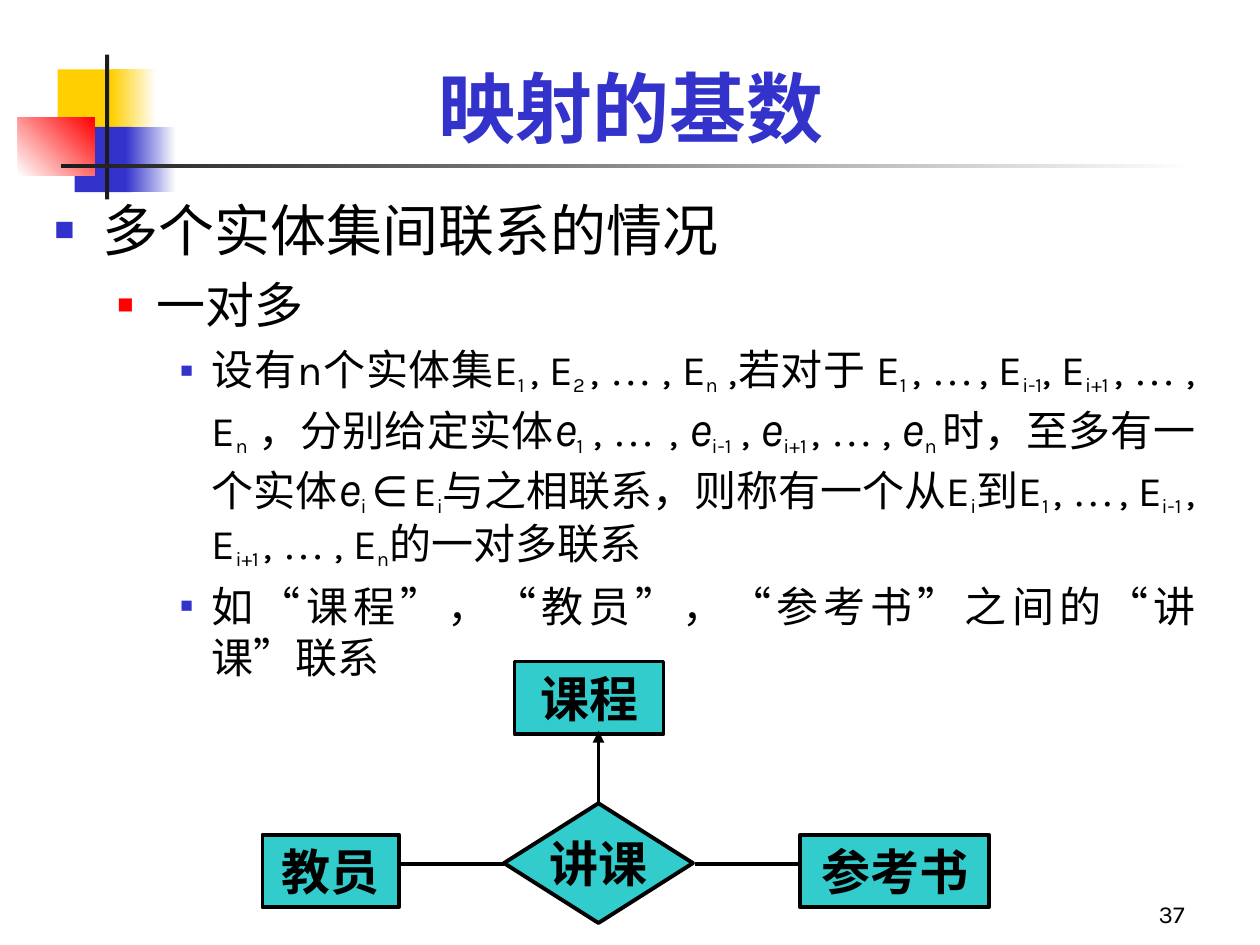
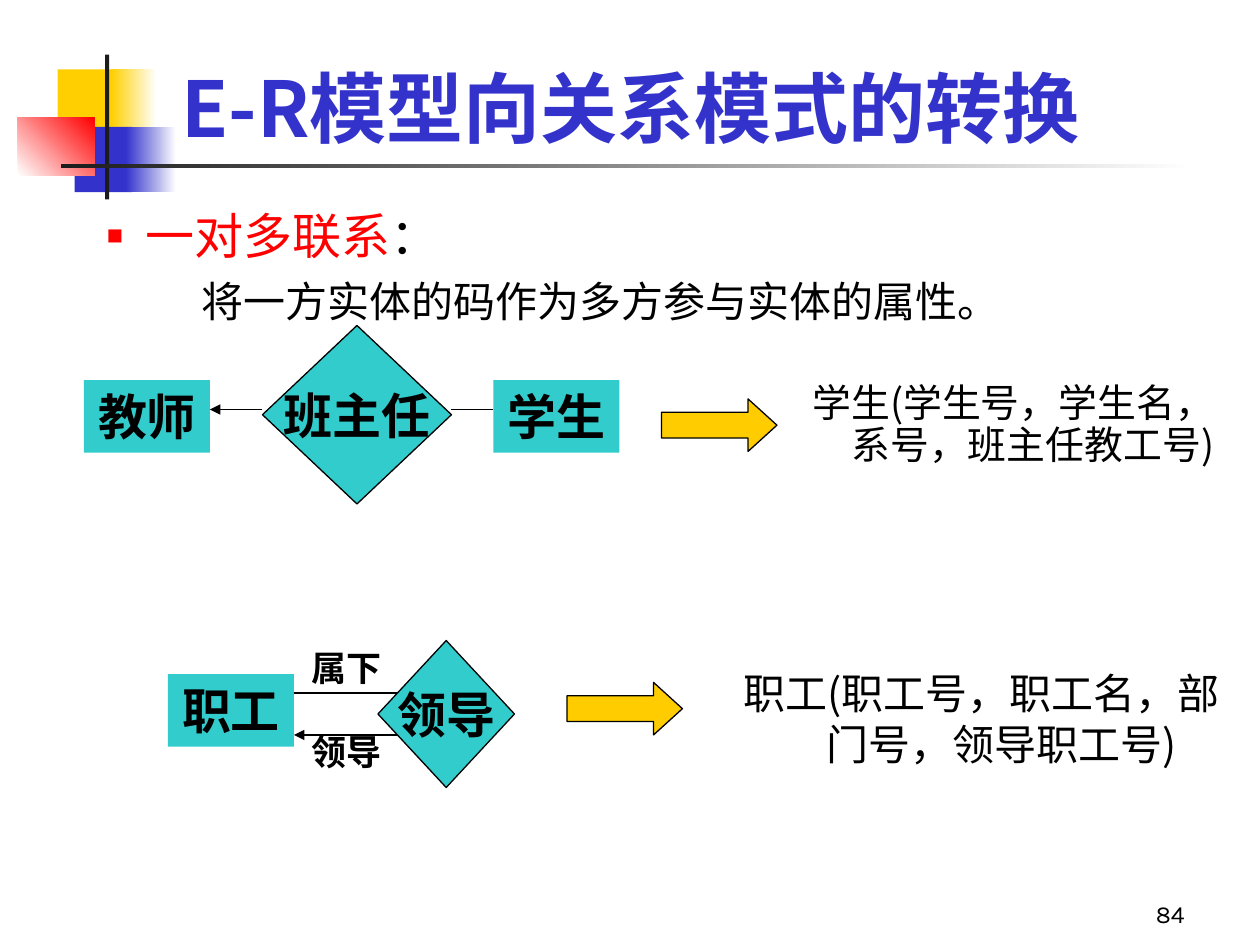
"""Build two slides on entity-relationship mapping."""
import dataclasses
import itertools

import lxml.etree
import pptx
import pptx.dml.color
import pptx.enum.shapes
import pptx.enum.text
import pptx.oxml.ns
import pptx.util

SHAPE = pptx.enum.shapes.MSO_SHAPE
ALIGN = pptx.enum.text.PP_ALIGN
ANCHOR = pptx.enum.text.MSO_ANCHOR


@dataclasses.dataclass(frozen=True)
class Theme:
    black: str = "000000"
    white: str = "FFFFFF"
    ink: str = "1C1C1C"
    blue: str = "3333CC"
    red: str = "FF0000"
    yellow: str = "FFCF01"
    arrow: str = "FFCC00"
    teal: str = "33CCCC"
    latin: str = "Karla"
    serif: str = "Times New Roman"
    chinese: str = "Noto Sans CJK SC"
    japanese: str = "Noto Sans CJK JP"
    title: float = 44
    heading: float = 32
    subheading: float = 28
    body: float = 24
    schema: float = 22.2
    small: float = 20
    number: float = 14
    thick: float = 2.25
    thin: float = 0.75
    columns: int = 120
    rows: int = 90


def add_element(parent, tag, **attributes):
    return lxml.etree.SubElement(parent, pptx.oxml.ns.qn(tag), **attributes)


def rgb(color):
    return pptx.dml.color.RGBColor.from_string(color)


class Deck:
    def __init__(self, theme):
        self.theme = theme
        self.presentation = pptx.Presentation()
        self.presentation.slide_width = pptx.util.Inches(10)
        self.presentation.slide_height = pptx.util.Inches(7.5)
        self.slide = None

    def x(self, columns):
        return round(self.presentation.slide_width * columns / self.theme.columns)

    def y(self, rows):
        return round(self.presentation.slide_height * rows / self.theme.rows)

    def place(self, area):
        left, top, width, height = area
        return self.x(left), self.y(top), self.x(width), self.y(height)

    def start_slide(self, title, number, title_font):
        theme = self.theme
        self.slide = self.presentation.slides.add_slide(self.presentation.slide_layouts[5])
        self.decorate()
        shape = self.slide.shapes.title
        shape.left, shape.top, shape.width, shape.height = self.place((9, 3, 102.2, 12.2))
        frame = shape.text_frame
        frame.auto_size = pptx.enum.text.MSO_AUTO_SIZE.NONE
        frame.vertical_anchor = ANCHOR.BOTTOM
        paragraph = frame.paragraphs[0]
        paragraph.alignment = ALIGN.CENTER
        self.run(paragraph, title, theme.title, title_font, theme.blue, bold=True)
        frame = self.text_box((89, 83, 25, 6), ANCHOR.BOTTOM)
        paragraph = frame.paragraphs[0]
        paragraph.alignment = ALIGN.RIGHT
        self.run(paragraph, number, theme.number)

    def decorate(self):
        theme = self.theme
        self.shape(SHAPE.RECTANGLE, (5.5, 6.6, 5.8, 6.2), theme.yellow)
        self.gradient((10.6, 6.6, 4.3, 6.2), theme.yellow, theme.white)
        self.shape(SHAPE.RECTANGLE, (7.1, 12.1, 5.5, 6.2), theme.blue)
        self.gradient((12, 12.1, 4.8, 6.2), theme.blue, theme.white)
        self.gradient((1.7, 11.2, 7.3, 5.5), theme.white, theme.red, 45)
        self.shape(SHAPE.RECTANGLE, (10, 5.2, 0.4, 13.8), theme.ink)
        self.gradient((5.8, 15.6, 108, 0.4), theme.ink, theme.white)

    def shape(self, kind, area, fill, line_width=0):
        shape = self.slide.shapes.add_shape(kind, *self.place(area))
        shape.shadow.inherit = False
        shape.fill.solid()
        shape.fill.fore_color.rgb = rgb(fill)
        if line_width:
            shape.line.color.rgb = rgb(self.theme.black)
            shape.line.width = pptx.util.Pt(line_width)
        else:
            shape.line.fill.background()
        return shape

    def gradient(self, area, start, end, angle=0):
        shape = self.shape(SHAPE.RECTANGLE, area, start)
        shape.fill.gradient()
        shape.fill.gradient_angle = angle
        for stop, color, position in zip(shape.fill.gradient_stops, (start, end), (0, 1)):
            stop.color.rgb = rgb(color)
            stop.position = position

    def node(self, kind, area, text, line_width=0):
        shape = self.shape(kind, area, self.theme.teal, line_width)
        frame = shape.text_frame
        frame.word_wrap = kind != SHAPE.DIAMOND
        frame.vertical_anchor = ANCHOR.MIDDLE
        paragraph = frame.paragraphs[0]
        paragraph.alignment = ALIGN.CENTER
        self.run(paragraph, text, self.theme.subheading, self.theme.serif, bold=True)

    def line(self, start, end, width, arrow=False):
        connector = self.slide.shapes.add_connector(
            pptx.enum.shapes.MSO_CONNECTOR.STRAIGHT,
            self.x(start[0]), self.y(start[1]), self.x(end[0]), self.y(end[1]))
        connector.line.color.rgb = rgb(self.theme.black)
        connector.line.width = pptx.util.Pt(width)
        if arrow:
            add_element(connector.line._get_or_add_ln(), "a:tailEnd", type="triangle")
        add_element(connector._element.spPr, "a:effectLst")

    def block_arrow(self, left, top):
        shape = self.shape(SHAPE.RIGHT_ARROW, (left, top, 11, 5),
                           self.theme.arrow, self.theme.thin)
        shape.adjustments[0] = 0.49
        shape.adjustments[1] = 0.55

    def text_box(self, area, anchor=ANCHOR.TOP):
        frame = self.slide.shapes.add_textbox(*self.place(area)).text_frame
        frame.word_wrap = True
        frame.vertical_anchor = anchor
        return frame

    def run(self, paragraph, text, size, font=None, color=None,
            bold=False, italic=False, subscript=False):
        run = paragraph.add_run()
        run.text = text
        run.font.size = pptx.util.Pt(size)
        run.font.bold = bold
        run.font.italic = italic
        run.font.color.rgb = rgb(color or self.theme.black)
        run.font.name = font or self.theme.latin
        properties = run._r.get_or_add_rPr()
        add_element(properties, "a:ea", typeface=self.theme.chinese)
        if subscript:
            properties.set("baseline", "-20000")

    def rich_text(self, paragraph, text, size):
        """Write pieces parted by bars; "_" opens a subscript and "*" an italic."""
        theme = self.theme
        for piece in text.split("|"):
            subscript, italic = piece.startswith("_"), piece.startswith("*")
            piece_size = theme.small if subscript else theme.subheading if italic else size
            for serif, letters in itertools.groupby(piece.lstrip("_*"), lambda c: c in "…“”"):
                self.run(paragraph, "".join(letters), piece_size,
                         theme.serif if serif else theme.latin,
                         italic=italic, subscript=subscript)

    def outline(self, frame, level, bullet=True):
        theme = self.theme
        margin, hanging, space, color, percent = (
            (0.38, 0.38, 8, theme.blue, 60),
            (0.81, 0.31, 7, theme.red, 55),
            (1.25, 0.25, 6, theme.blue, 50))[level]
        first = not frame.paragraphs[0].runs
        paragraph = frame.paragraphs[0] if first else frame.add_paragraph()
        properties = paragraph._p.get_or_add_pPr()
        properties.set("marL", str(pptx.util.Inches(margin)))
        if bullet:
            properties.set("indent", str(-pptx.util.Inches(hanging)))
            add_element(add_element(properties, "a:buClr"), "a:srgbClr", val=color)
            add_element(properties, "a:buSzPct", val=str(percent * 1000))
            add_element(properties, "a:buFont", typeface=theme.serif)
            add_element(properties, "a:buChar", char="■")
        paragraph.alignment = ALIGN.JUSTIFY
        if not first:
            paragraph.space_before = pptx.util.Pt(space)
        return paragraph

    def schema(self, area, text, size, spacing):
        paragraph = self.text_box(area).paragraphs[0]
        properties = paragraph._p.get_or_add_pPr()
        properties.set("marL", str(pptx.util.Inches(0.81)))
        properties.set("indent", str(-pptx.util.Inches(0.31)))
        paragraph.alignment = ALIGN.CENTER
        paragraph.line_spacing = spacing
        self.run(paragraph, text, size, self.theme.japanese)

    def role(self, top, text):
        paragraph = self.text_box((27, top, 12, 5.3)).paragraphs[0]
        paragraph.alignment = ALIGN.CENTER
        self.run(paragraph, text, self.theme.small, self.theme.serif, bold=True)


def build_cardinality(deck):
    theme = deck.theme
    deck.start_slide("映射的基数", "37", theme.latin)
    frame = deck.text_box((4, 18, 111, 48))
    definition = (
        "设有n个实体集E|_1 |, E|_2 |, … , E|_n| ,若对于 E|_1 |, …|_ |, E|_i-1|, E|_i+1 |, … , E|_n"
        "| ，分别给定实体|*e|_1| , …|_ | , |*e|_i-1| , |*e|_i+1 |, … , |*e|_n |时，至多有一个实体"
        "|*e|_i |∈|_ |E|_i|与之相联系，则称有一个从E|_i|到E|_1 |, …|_ |, E|_i-1 |, E|_i+1 "
        "|, … , E|_n|的一对多联系")
    example = "如“课程”，“教员”，“参考书”之间的“讲课”联系"
    for level, text, size in ((0, "多个实体集间联系的情况", theme.heading),
                              (1, "一对多", theme.subheading),
                              (2, definition, theme.body),
                              (2, example, theme.body)):
        deck.rich_text(deck.outline(frame, level), text, size)
    for left, top, width, text in ((25, 79.5, 13, "教员"),
                                   (76.2, 79.5, 18, "参考书"),
                                   (49, 63, 14.2, "课程")):
        deck.node(SHAPE.RECTANGLE, (left, top, width, 6.9), text, theme.thick)
    deck.node(SHAPE.DIAMOND, (48, 76.5, 18, 11.4), "讲课", theme.thick)
    deck.line((38, 82.3), (48, 82.3), theme.thick)
    deck.line((66.2, 82.3), (76.2, 82.3), theme.thick)
    deck.line((57, 76.7), (57, 69.6), theme.thick, arrow=True)


def build_conversion(deck):
    theme = deck.theme
    deck.start_slide("E-R模型向关系模式的转换", "84", theme.chinese)
    frame = deck.text_box((3, 19, 114.5, 13.8))
    heading = deck.outline(frame, 1)
    deck.run(heading, "一对多联系", theme.subheading, color=theme.red)
    deck.run(heading, "：", theme.subheading)
    deck.run(deck.outline(frame, 2, bullet=False),
             "将一方实体的码作为多方参与实体的属性。", theme.body)

    for left, top, text in ((8, 36.2, "教师"), (47, 36.2, "学生"), (16, 64.2, "职工")):
        deck.node(SHAPE.RECTANGLE, (left, top, 12, 6.9), text)
    deck.line((25, 39), (20, 39), theme.thin, arrow=True)
    deck.line((43, 39), (47, 39), theme.thin)
    deck.line((28, 66), (38, 66), theme.thin)
    deck.line((38, 70), (28, 70), theme.thin, arrow=True)
    deck.node(SHAPE.DIAMOND, (25, 31, 18, 17), "班主任", theme.thin)
    deck.node(SHAPE.DIAMOND, (36, 61, 13, 14), "领导", theme.thin)
    deck.role(61, "属下")
    deck.role(69, "领导")
    deck.block_arrow(63, 38)
    deck.block_arrow(54, 65)
    deck.schema((69, 36, 49, 11), "学生(学生号，学生名，系号，班主任教工号)", theme.schema, 0.9)
    deck.schema((63, 63, 55, 11), "职工(职工号，职工名，部门号，领导职工号)", theme.body, 1.0)


def main():
    deck = Deck(Theme())
    build_cardinality(deck)
    build_conversion(deck)
    deck.presentation.save("out.pptx")


if __name__ == "__main__":
    main()
